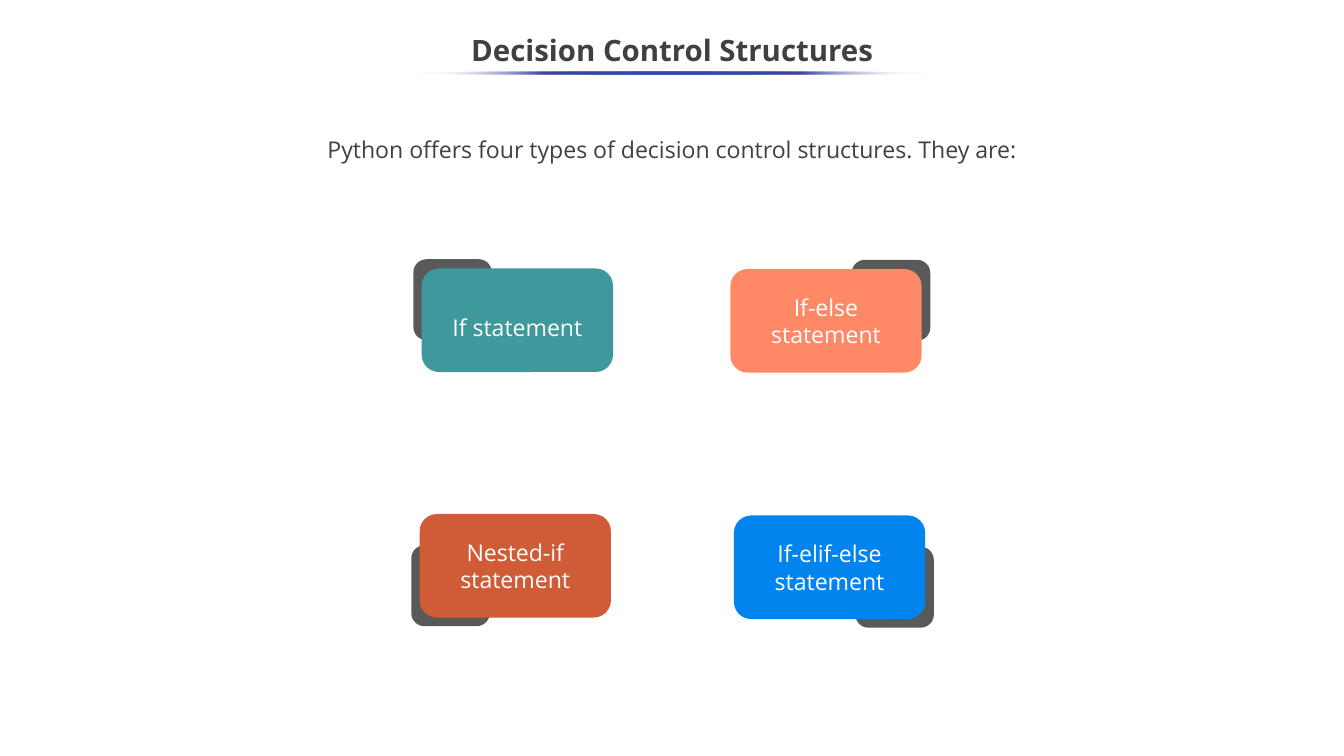
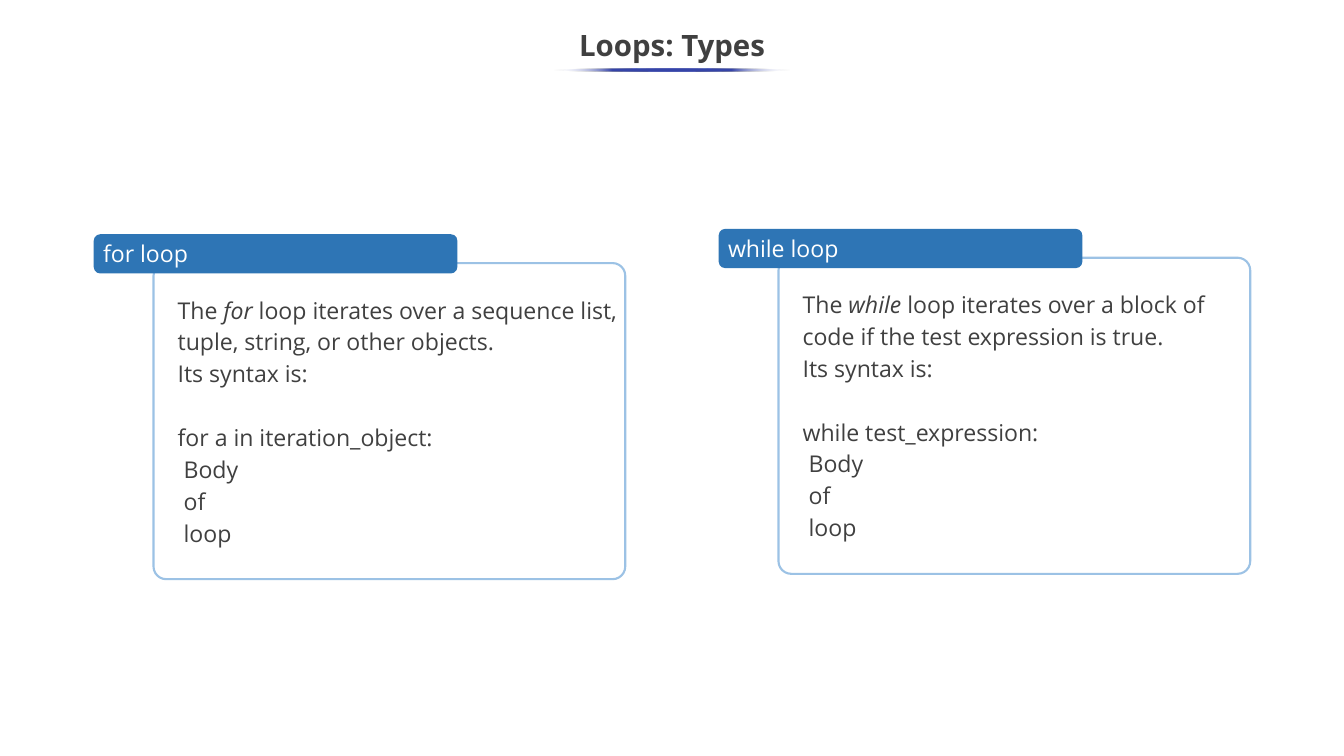
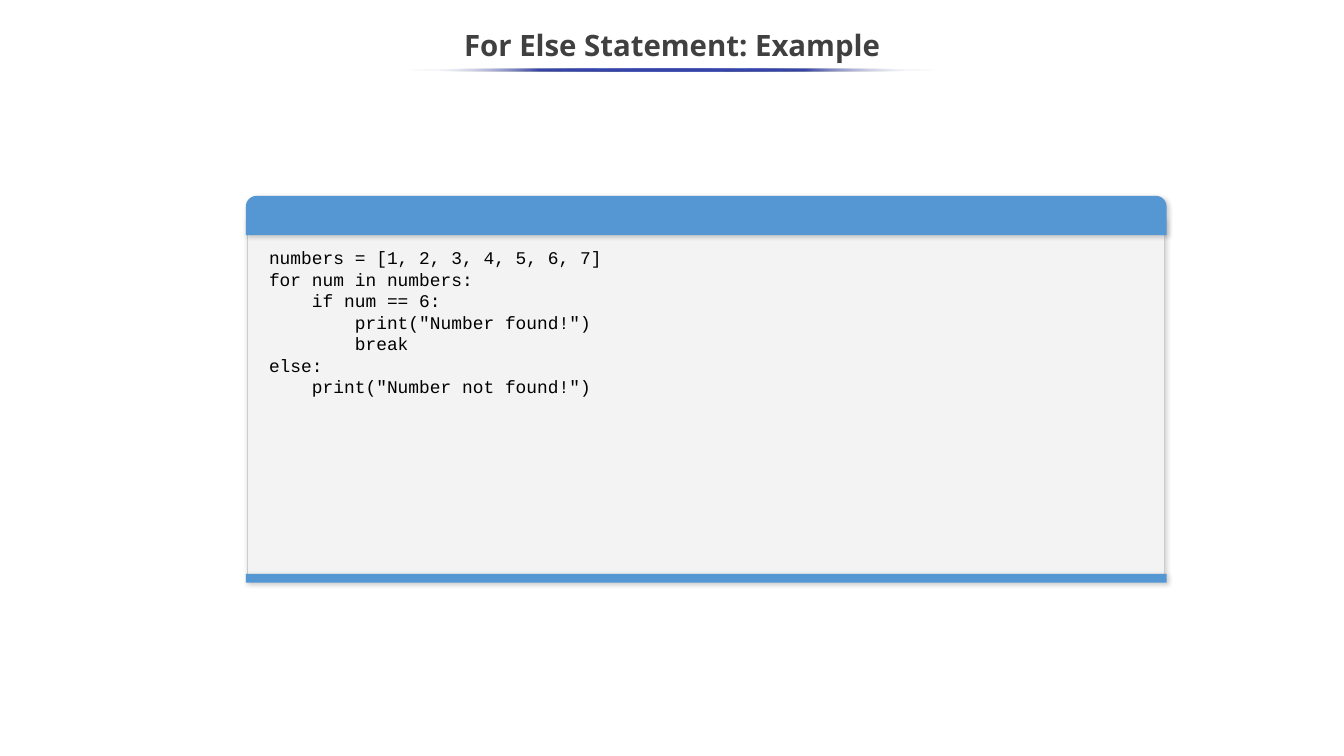
from dataclasses import dataclass

from pptx import Presentation
from pptx.dml.color import RGBColor
from pptx.enum.shapes import MSO_SHAPE
from pptx.enum.text import MSO_ANCHOR, MSO_AUTO_SIZE, PP_ALIGN
from pptx.oxml import parse_xml
from pptx.oxml.ns import nsdecls, qn
from pptx.util import Cm, Pt


@dataclass(frozen=True)
class Theme:
    """Colours, fonts and type sizes shared by the slides."""
    ink: str = "404040"
    white: str = "FFFFFF"
    black: str = "000000"
    rule: str = "3645A9"
    tab: str = "595959"
    teal: str = "3E989C"
    coral: str = "FF8966"
    rust: str = "CF5C36"
    azure: str = "0284EF"
    tag: str = "2E75B5"
    outline: str = "9CC2E5"
    code_bar: str = "5597D3"
    code_fill: str = "F3F3F3"
    code_line: str = "CCCCCC"
    text_font: str = "Open Sans"
    code_font: str = "Courier New"
    title_size: int = 28
    text_size: int = 22
    code_size: int = 17


SLIDE_WIDTH, SLIDE_HEIGHT = 45.16, 25.4


class SlideMaker:
    """Holds the deck, its theme and the slide being filled."""

    def __init__(self, theme):
        self.theme = theme
        self.deck = Presentation()
        self.deck.slide_width = Cm(SLIDE_WIDTH)
        self.deck.slide_height = Cm(SLIDE_HEIGHT)
        self.page = None

    def start(self, title, rule_width, rule_top=2.29, spacing=0.9):
        """Add a slide with its title and the fading rule below it."""
        self.page = self.deck.slides.add_slide(self.deck.slide_layouts[5])
        box = self.page.shapes.title
        box.left, box.top, box.width, box.height = Cm(0), Cm(0.64), Cm(SLIDE_WIDTH), Cm(1.9)
        self.fill_text(box, [title], size=self.theme.title_size, bold=True,
                       align=PP_ALIGN.CENTER, anchor=MSO_ANCHOR.MIDDLE, spacing=spacing)
        self.title_rule(rule_width, rule_top)

    def title_rule(self, width, top):
        """Draw a thin centred ellipse that fades out at both ends."""
        place = ((SLIDE_WIDTH - width) / 2, top, width, 0.1)
        rule = self.shape(MSO_SHAPE.OVAL, place)
        ends = f'<a:srgbClr val="{self.theme.white}"><a:alpha val="0"/></a:srgbClr>'
        middle = f'<a:srgbClr val="{self.theme.rule}"/>'
        stops = "".join(f'<a:gs pos="{position * 1000}">{colour}</a:gs>' for position, colour in
                        ((0, ends), (25, middle), (50, middle), (75, middle), (100, ends)))
        gradient = parse_xml(f'<a:gradFill {nsdecls("a")}><a:gsLst>{stops}</a:gsLst>'
                             '<a:lin ang="10800000" scaled="0"/></a:gradFill>')
        properties = rule._element.spPr
        properties.replace(properties.find(qn("a:noFill")), gradient)

    def shape(self, kind, place, fill=None, line=None, line_width=1, corners=(), shadow=False):
        """Add a preset shape with a plain fill, outline and optional shadow."""
        shape = self.page.shapes.add_shape(kind, *map(Cm, place))
        for index, corner in enumerate(corners):
            shape.adjustments[index] = corner
        if fill:
            shape.fill.solid()
            shape.fill.fore_color.rgb = RGBColor.from_string(fill)
        else:
            shape.fill.background()
        if line:
            shape.line.color.rgb = RGBColor.from_string(line)
            shape.line.width = Pt(line_width)
        else:
            shape.line.fill.background()
        shape.shadow.inherit = False
        if shadow:
            shape._element.spPr.find(qn("a:effectLst")).append(parse_xml(
                f'<a:outerShdw {nsdecls("a")} blurRad="{Pt(4.5)}" dist="{Pt(1.5)}" '
                f'dir="{47 * 60000}" algn="tl" rotWithShape="0">'
                f'<a:srgbClr val="{self.theme.black}"><a:alpha val="20000"/></a:srgbClr>'
                '</a:outerShdw>'))
        return shape

    def text_box(self, place, paragraphs, **style):
        """Add a wrapping text box."""
        box = self.page.shapes.add_textbox(*map(Cm, place))
        self.fill_text(box, paragraphs, **style)
        return box

    def fill_text(self, box, paragraphs, size=None, font=None, colour=None, bold=False,
                  align=PP_ALIGN.LEFT, anchor=MSO_ANCHOR.TOP, spacing=1.0):
        """Fill a box; a paragraph is a string or a list of (text, italic) spans."""
        frame = box.text_frame
        frame.word_wrap = True
        frame.auto_size = MSO_AUTO_SIZE.NONE
        frame.vertical_anchor = anchor
        for index, spans in enumerate(paragraphs):
            para = frame.add_paragraph() if index else frame.paragraphs[0]
            para.alignment = align
            para.line_spacing = spacing
            for text, italic in [(spans, False)] if isinstance(spans, str) else spans:
                span = para.add_run()
                span.text = text
                span.font.name = font or self.theme.text_font
                span.font.size = Pt(size or self.theme.text_size)
                span.font.bold = bold
                span.font.italic = italic
                span.font.color.rgb = RGBColor.from_string(colour or self.theme.ink)

    def statement_card(self, label, colour, left, top, on_right, on_bottom, spacing=1.0):
        """Draw a coloured card with a dark tab behind its outer corner."""
        tab_left = left + (4.08 if on_right else -0.28)
        tab_top = top + (1.05 if on_bottom else -0.31)
        self.shape(MSO_SHAPE.ROUNDED_RECTANGLE, (tab_left, tab_top, 2.64, 2.72), self.theme.tab)
        card = self.shape(MSO_SHAPE.ROUNDED_RECTANGLE, (left, top, 6.43, 3.48), colour)
        self.fill_text(card, [label], colour=self.theme.white, align=PP_ALIGN.CENTER,
                       anchor=MSO_ANCHOR.MIDDLE, spacing=spacing)

    def loop_panel(self, keyword, description, header, left, top):
        """Draw an outlined panel with a name tag, a description and the syntax."""
        self.shape(MSO_SHAPE.ROUNDED_RECTANGLE, (left, top, 15.85, 10.62),
                   line=self.theme.outline, line_width=2, corners=[0.04])
        tag = self.shape(MSO_SHAPE.ROUNDED_RECTANGLE, (left - 2.01, top - 0.97, 12.22, 1.32),
                         self.theme.tag)
        self.fill_text(tag, [f"{keyword} loop"], colour=self.theme.white)
        intro = [("The ", False), (keyword, True), (f" loop {description}", False)]
        box = self.text_box((left + 0.56, top + 0.84, 15.29, 11.99),
                            [intro, "Its syntax is:", header, " Body", " of", " loop"],
                            spacing=1.15)
        box.text_frame.paragraphs[2].space_before = Pt(30.4)

    def code_window(self, lines):
        """Draw a code window with a header bar, a footer bar and its code."""
        left, width, bar = 8.26, 30.94, self.theme.code_bar
        self.shape(MSO_SHAPE.RECTANGLE, (left + 0.07, 7.39, width - 0.13, 11.91),
                   self.theme.code_fill, self.theme.code_line, 0.75, shadow=True)
        self.shape(MSO_SHAPE.RECTANGLE, (left, 19.28, width, 0.3), bar, shadow=True)
        self.shape(MSO_SHAPE.ROUND_2_SAME_RECTANGLE, (left, 6.58, width, 1.32), bar,
                   corners=[0.275, 0], shadow=True)
        box = self.text_box((left + 0.53, 8.05, 28.6, 9.68), lines, size=self.theme.code_size,
                            font=self.theme.code_font, colour=self.theme.black)
        box.text_frame.margin_top = box.text_frame.margin_bottom = Cm(0.25)


def decision_slide(maker):
    """Show the four decision control structures."""
    theme = maker.theme
    maker.start("Decision Control Structures", 17.25, rule_top=2.41, spacing=1.15)
    maker.text_box((3.53, 4.29, 38.1, 3.96),
                   ["Python offers four types of decision control structures. They are:"],
                   align=PP_ALIGN.CENTER, spacing=1.15)
    maker.statement_card("Nested-if statement", theme.rust, 14.1, 17.27, False, True)
    maker.statement_card("If statement", theme.teal, 14.17, 9.02, False, False, spacing=1.5)
    maker.statement_card("If-else statement", theme.coral, 24.54, 9.04, True, False)
    maker.statement_card("If-elif-else statement", theme.azure, 24.66, 17.32, True, True)


def loops_slide(maker):
    """Compare the two types of loop."""
    maker.start("Loops: Types", 7.95)
    maker.loop_panel("while", "iterates over a block of code if the test expression is true.",
                     "while test_expression:", 26.16, 8.66)
    maker.loop_panel("for", "iterates over a sequence list, tuple, string, or other objects.",
                     "for a in iteration_object:", 5.16, 8.84)


def example_slide(maker):
    """Show a for-else program."""
    maker.start("For Else Statement: Example", 17.75)
    maker.code_window([
        "numbers = [1, 2, 3, 4, 5, 6, 7]",
        "for num in numbers:",
        "    if num == 6:",
        '        print("Number found!")',
        "        break",
        "else:",
        '    print("Number not found!")',
    ])


def main():
    """Build the deck and save it."""
    maker = SlideMaker(Theme())
    decision_slide(maker)
    loops_slide(maker)
    example_slide(maker)
    maker.deck.save("out.pptx")


if __name__ == "__main__":
    main()
